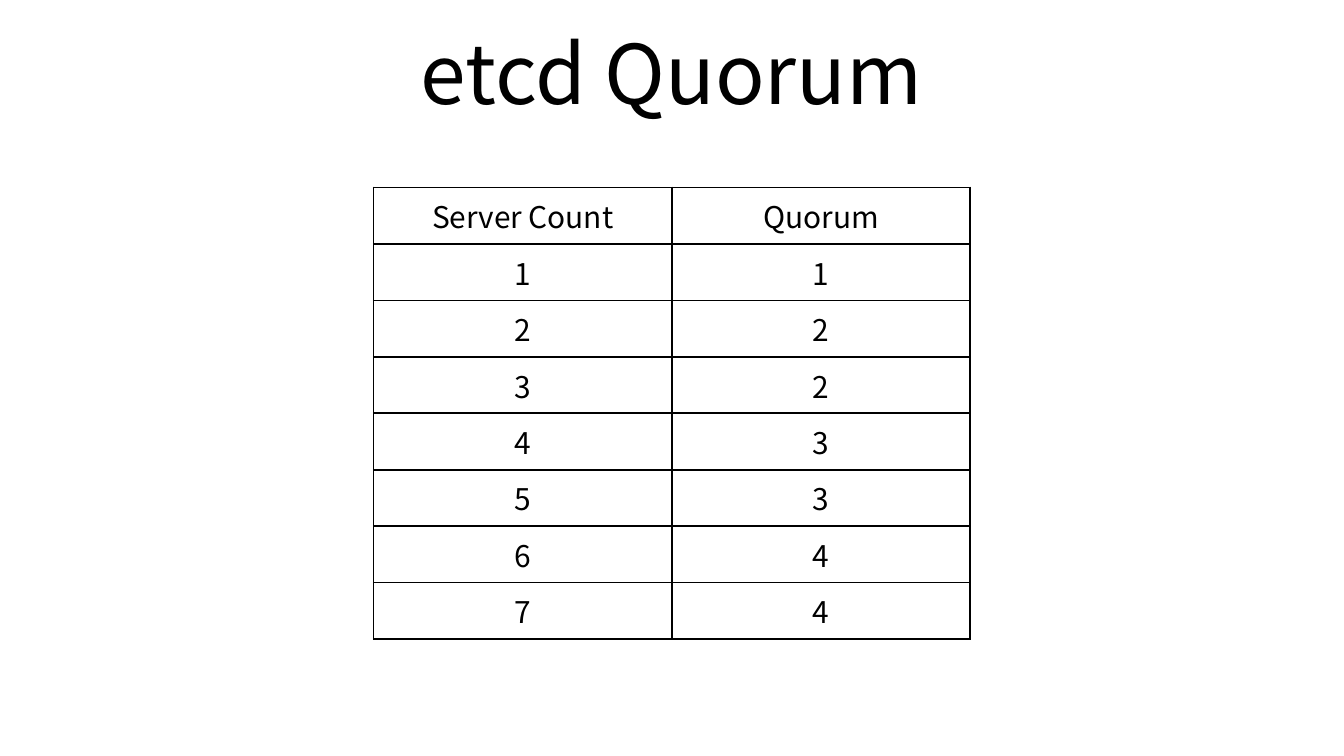
import pptx
import pptx.dml.color
import pptx.enum.text
import pptx.oxml
import pptx.oxml.ns
import pptx.util

COLORS = {"ink": "000000", "paper": "FFFFFF"}
FONT = "Noto Sans CJK KR"
WIDTH = pptx.util.Inches(10)
HEIGHT = WIDTH * 9 // 16
SERVER_COUNTS = range(1, 8)


def percent(left, top, width, height):
    """Turn percentages of the slide's size into a box of lengths."""
    shares = zip((left, top, width, height), (WIDTH, HEIGHT, WIDTH, HEIGHT))
    return [round(part * whole / 100) for part, whole in shares]


def write(frame, words, size):
    """Write one centred paragraph into a text frame."""
    paragraph = frame.paragraphs[0]
    paragraph.text = words
    paragraph.alignment = pptx.enum.text.PP_ALIGN.CENTER
    for name, value in {"name": FONT, "size": pptx.util.Pt(size)}.items():
        setattr(paragraph.runs[0].font, name, value)
    paragraph.runs[0].font.color.rgb = pptx.dml.color.RGBColor.from_string(COLORS["ink"])


def outline(cell):
    """Draw a thin line on all four sides of a cell."""
    properties = cell._tc.get_or_add_tcPr()
    for side in "LRTB":
        properties.append(pptx.oxml.parse_xml(
            f'<a:ln{side} {pptx.oxml.ns.nsdecls("a")} w="{pptx.util.Pt(1)}">'
            f'<a:solidFill><a:srgbClr val="{COLORS["ink"]}"/></a:solidFill></a:ln{side}>'
        ))


def add_heading(slide, box, words):
    """Place the heading in the middle of its box."""
    frame = slide.shapes.add_textbox(*box).text_frame
    layout = {"word_wrap": True, "vertical_anchor": pptx.enum.text.MSO_ANCHOR.MIDDLE}
    for name, value in layout.items():
        setattr(frame, name, value)
    write(frame, words, 44)


def add_quorum_table(slide, box):
    """Fill a ruled table with the majority needed for each server count."""
    rows = [("Server Count", "Quorum")]
    rows += [(str(count), str(count // 2 + 1)) for count in SERVER_COUNTS]
    table = slide.shapes.add_table(len(rows), len(rows[0]), *box).table
    for name in ("first_row", "horz_banding"):
        setattr(table, name, False)
    for row_index, row in enumerate(rows):
        for column_index, words in enumerate(row):
            cell = table.cell(row_index, column_index)
            outline(cell)
            cell.fill.background()
            write(cell.text_frame, words, 16)


def main():
    """Build and save the quorum slide."""
    deck = pptx.Presentation()
    deck.slide_width, deck.slide_height = WIDTH, HEIGHT
    slide = deck.slides.add_slide(deck.slide_layouts[6])
    background = slide.background.fill
    background.solid()
    background.fore_color.rgb = pptx.dml.color.RGBColor.from_string(COLORS["paper"])
    add_heading(slide, percent(5, 1.1, 90, 16.7), "etcd Quorum")
    add_quorum_table(slide, percent(27.8, 24.8, 44.4, 59.8))
    deck.save("out.pptx")


if __name__ == "__main__":
    main()
